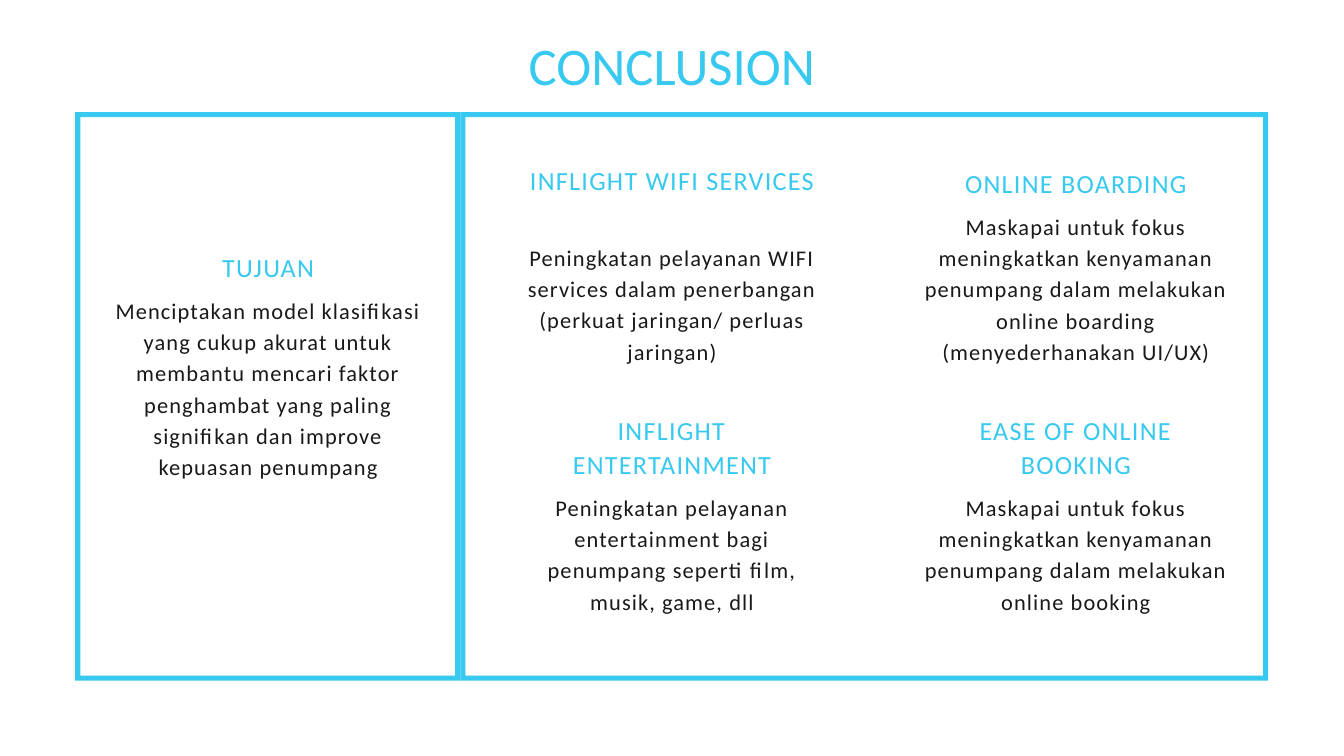
from pptx import Presentation
from pptx.dml.color import RGBColor
from pptx.enum import text
from pptx.util import Inches, Pt

FONT = "Calibri"
CYAN = "37C9EF"
INK = "191919"
BORDER = 0.075
COLUMN_WIDTH = 4.58
HEADING_GAP = 0.17


def color(value):
    return RGBColor.from_string(value)


def add_text(slide, box, words, size, fill, leading, spacing=0):
    """Centred text without insets; leading and spacing are in points."""
    label = slide.shapes.add_textbox(*map(Inches, box))
    frame = label.text_frame
    frame.margin_left = frame.margin_right = 0
    frame.margin_top = frame.margin_bottom = 0
    frame.word_wrap = True
    frame.auto_size = text.MSO_AUTO_SIZE.SHAPE_TO_FIT_TEXT
    para = frame.paragraphs[0]
    para.text = words
    para.alignment = text.PP_ALIGN.CENTER
    para.line_spacing = Pt(leading)
    span = para.runs[0]
    span.font.name = FONT
    span.font.size = Pt(size)
    span.font.color.rgb = color(fill)
    if spacing:
        span.font._element.set("spc", str(round(spacing * 100)))


def add_frame(slide, box):
    """Hollow rectangle: an outer outline with a hole inside it."""
    left, top, width, height = box
    right, bottom = left + width, top + height

    def corners(inset):
        x1, y1 = Inches(left + inset), Inches(top + inset)
        x2, y2 = Inches(right - inset), Inches(bottom - inset)
        return [(x1, y1), (x1, y2), (x2, y2), (x2, y1)]

    outer = corners(0)
    hole = corners(BORDER)[::-1]
    builder = slide.shapes.build_freeform(*outer[0])
    builder.add_line_segments(outer[1:], close=True)
    builder.move_to(*hole[0])
    builder.add_line_segments(hole[1:], close=True)
    shape = builder.convert_to_shape()
    shape.shadow.inherit = False
    shape.fill.solid()
    shape.fill.fore_color.rgb = color(CYAN)
    shape.line.fill.background()


def add_topic(slide, box, heading, body, heading_height):
    """Heading with its body text filling the rest of the box."""
    left, top, width, height = box
    add_text(slide, (left, top, width, heading_height), heading, 28, CYAN, 36.4, 1.4)
    offset = heading_height + HEADING_GAP
    add_text(slide, (left, top + offset, width, height - offset), body, 24, INK, 33.6, 1.2)


def add_conclusion(deck):
    slide = deck.slides.add_slide(deck.slide_layouts[6])

    # Two adjoining frames
    add_frame(slide, (1.12, 1.67, 5.73, 8.46))
    add_frame(slide, (6.85, 1.67, 12.02, 8.46))

    # Title
    add_text(slide, (7.33, 0.33, 5.34, 1.06), "CONCLUSION", 56.6, CYAN, 79.3)

    # Goal on the left, recommendations in two columns on the right
    goal, middle, right = 1.7, 7.71, 13.72
    one_line, two_lines = 0.48, 0.98
    topics = [
        (goal, 3.7, 3.83, one_line, "TUJUAN",
         "Menciptakan model klasifikasi yang cukup akurat untuk membantu mencari "
         "faktor penghambat yang paling signifikan dan improve kepuasan penumpang"),
        (middle, 2.41, 2.96, two_lines, "INFLIGHT WIFI SERVICES",
         "Peningkatan pelayanan WIFI services dalam penerbangan "
         "(perkuat jaringan/ perluas jaringan)"),
        (right, 2.45, 2.92, one_line, "ONLINE BOARDING",
         "Maskapai untuk fokus meningkatkan kenyamanan penumpang dalam melakukan "
         "online boarding (menyederhanakan UI/UX)"),
        (middle, 6.13, 2.96, two_lines, "INFLIGHT ENTERTAINMENT",
         "Peningkatan pelayanan entertainment bagi penumpang seperti film, "
         "musik, game, dll"),
        (right, 6.13, 2.96, two_lines, "EASE OF ONLINE BOOKING",
         "Maskapai untuk fokus meningkatkan kenyamanan penumpang dalam melakukan "
         "online booking"),
    ]
    for left, top, height, heading_height, heading, body in topics:
        add_topic(slide, (left, top, COLUMN_WIDTH, height), heading, body, heading_height)


def main():
    deck = Presentation()
    deck.slide_width = Inches(20)
    deck.slide_height = Inches(11.25)
    add_conclusion(deck)
    deck.save("out.pptx")


if __name__ == "__main__":
    main()
